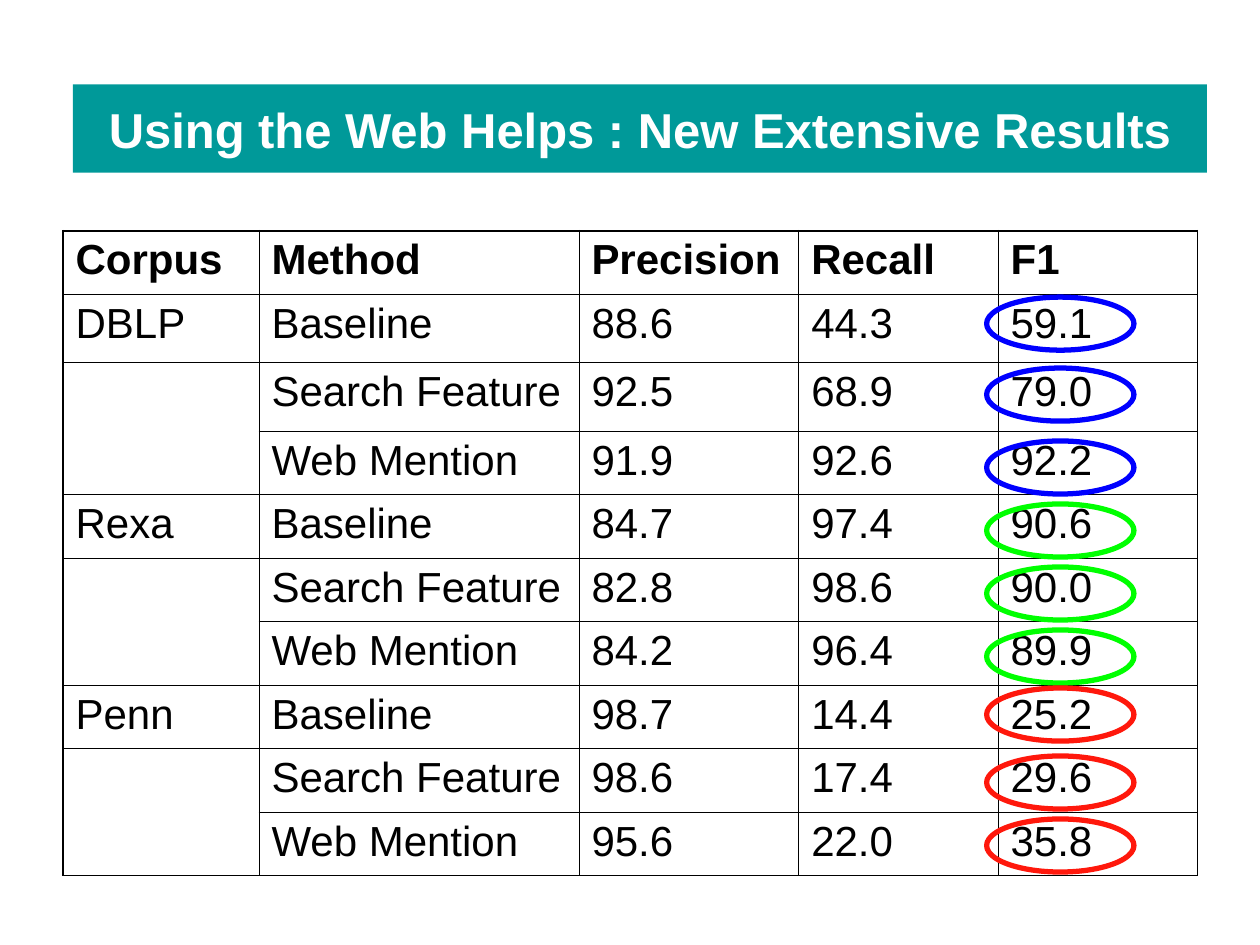
"""Build a slide comparing corpus results, with the F1 scores circled."""
from dataclasses import dataclass

import lxml.etree
import pptx
import pptx.dml.color
import pptx.enum.shapes
import pptx.enum.text
import pptx.oxml.ns
import pptx.util

Cm = pptx.util.Cm
Pt = pptx.util.Pt

COLORS = {
    "teal": "009999", "white": "FFFFFF", "black": "000000",
    "blue": "0000FF", "green": "00FF00", "red": "FF180C",
}
TITLE_FONT = {"name": "Arial", "size": Pt(28), "bold": True}
HEADER_FONT = {"name": "Arial", "size": Pt(24), "bold": True}
BODY_FONT = {**HEADER_FONT, "bold": False}
HEADERS = ("Corpus", "Method", "Precision", "Recall", "F1")
METHODS = ("Baseline", "Search Feature", "Web Mention")
COLUMN_WIDTHS = (3.95, 6.45, 4.43, 4.02, 4.02)
ROW_HEIGHTS = (1.28, 1.38, 1.38) + (1.28,) * 7
OUTER_LINE, INNER_LINE = Pt(1.08), Pt(0.45)


@dataclass(frozen=True)
class Corpus:
    name: str
    color: str
    scores: tuple[tuple[str, str, str], ...]
    ring_tops: tuple[float, ...]


CORPORA = (
    Corpus("DBLP", "blue",
           (("88.6", "44.3", "59.1"), ("92.5", "68.9", "79.0"), ("91.9", "92.6", "92.2")),
           (5.99, 7.42, 8.89)),
    Corpus("Rexa", "green",
           (("84.7", "97.4", "90.6"), ("82.8", "98.6", "90.0"), ("84.2", "96.4", "89.9")),
           (10.16, 11.43, 12.7)),
    Corpus("Penn", "red",
           (("98.7", "14.4", "25.2"), ("98.6", "17.4", "29.6"), ("95.6", "22.0", "35.8")),
           (13.87, 15.24, 16.51)),
)


def rgb(name: str) -> pptx.dml.color.RGBColor:
    return pptx.dml.color.RGBColor.from_string(COLORS[name])


def write(frame, text: str, font_values: dict, color: str) -> None:
    para = frame.paragraphs[0]
    span = para.add_run()
    span.text = text
    for attribute, value in font_values.items():
        setattr(span.font, attribute, value)
    span.font.color.rgb = rgb(color)


def set_borders(cell, widths: dict[str, int]) -> None:
    properties = cell._tc.get_or_add_tcPr()
    for position, (side, width) in enumerate(widths.items()):
        line = lxml.etree.Element(pptx.oxml.ns.qn(f"a:ln{side}"), w=str(int(width)))
        fill = lxml.etree.SubElement(line, pptx.oxml.ns.qn("a:solidFill"))
        lxml.etree.SubElement(fill, pptx.oxml.ns.qn("a:srgbClr"), val=COLORS["black"])
        properties.insert(position, line)


def add_title(slide) -> None:
    title = slide.shapes.title
    bounds = {"left": Cm(1.47), "top": Cm(1.7), "width": Cm(22.86), "height": Cm(1.78)}
    for attribute, value in bounds.items():
        setattr(title, attribute, value)
    title.fill.solid()
    title.fill.fore_color.rgb = rgb("teal")
    frame = title.text_frame
    frame.auto_size = pptx.enum.text.MSO_AUTO_SIZE.NONE
    frame.vertical_anchor = pptx.enum.text.MSO_ANCHOR.MIDDLE
    write(frame, "Using the Web Helps : New Extensive Results", TITLE_FONT, "white")
    frame.paragraphs[0].alignment = pptx.enum.text.PP_ALIGN.CENTER


def add_results(slide) -> None:
    rows = [HEADERS]
    for corpus in CORPORA:
        for index, (method, scores) in enumerate(zip(METHODS, corpus.scores)):
            rows.append(("" if index else corpus.name, method, *scores))
    table = slide.shapes.add_table(
        len(rows), len(HEADERS), Cm(1.27), Cm(4.65),
        Cm(sum(COLUMN_WIDTHS)), Cm(sum(ROW_HEIGHTS))).table
    table.first_row = table.horz_banding = False
    for column, width in zip(table.columns, COLUMN_WIDTHS):
        column.width = Cm(width)
    for row, height in zip(table.rows, ROW_HEIGHTS):
        row.height = Cm(height)
    last_row, last_column = len(rows) - 1, len(HEADERS) - 1
    for row_index, values in enumerate(rows):
        for column_index, text in enumerate(values):
            cell = table.cell(row_index, column_index)
            cell.fill.background()
            outer = {
                "L": column_index == 0, "R": column_index == last_column,
                "T": row_index == 0, "B": row_index == last_row,
            }
            if column_index == 0 and row_index == last_row - 1:
                outer["B"] = True
            set_borders(cell, {side: OUTER_LINE if edge else INNER_LINE
                               for side, edge in outer.items()})
            if text:
                write(cell.text_frame, text, BODY_FONT if row_index else HEADER_FONT, "black")
    for top in range(2, len(rows), len(METHODS)):
        table.cell(top, 0).merge(table.cell(top + 1, 0))


def add_ring(slide, top: float, color: str) -> None:
    ring = slide.shapes.add_shape(
        pptx.enum.shapes.MSO_SHAPE.OVAL, Cm(19.89), Cm(top), Cm(2.97), Cm(1.07))
    ring.shadow.inherit = False
    ring.fill.background()
    ring.line.color.rgb = rgb(color)
    ring.line.width = Pt(3)


def main() -> None:
    deck = pptx.Presentation()
    deck.slide_width, deck.slide_height = Cm(25.4), Cm(19.05)
    slide = deck.slides.add_slide(deck.slide_layouts.get_by_name("Title Only"))
    add_title(slide)
    add_results(slide)
    for corpus in CORPORA:
        for top in corpus.ring_tops:
            add_ring(slide, top, corpus.color)
    deck.save("out.pptx")


if __name__ == "__main__":
    main()
